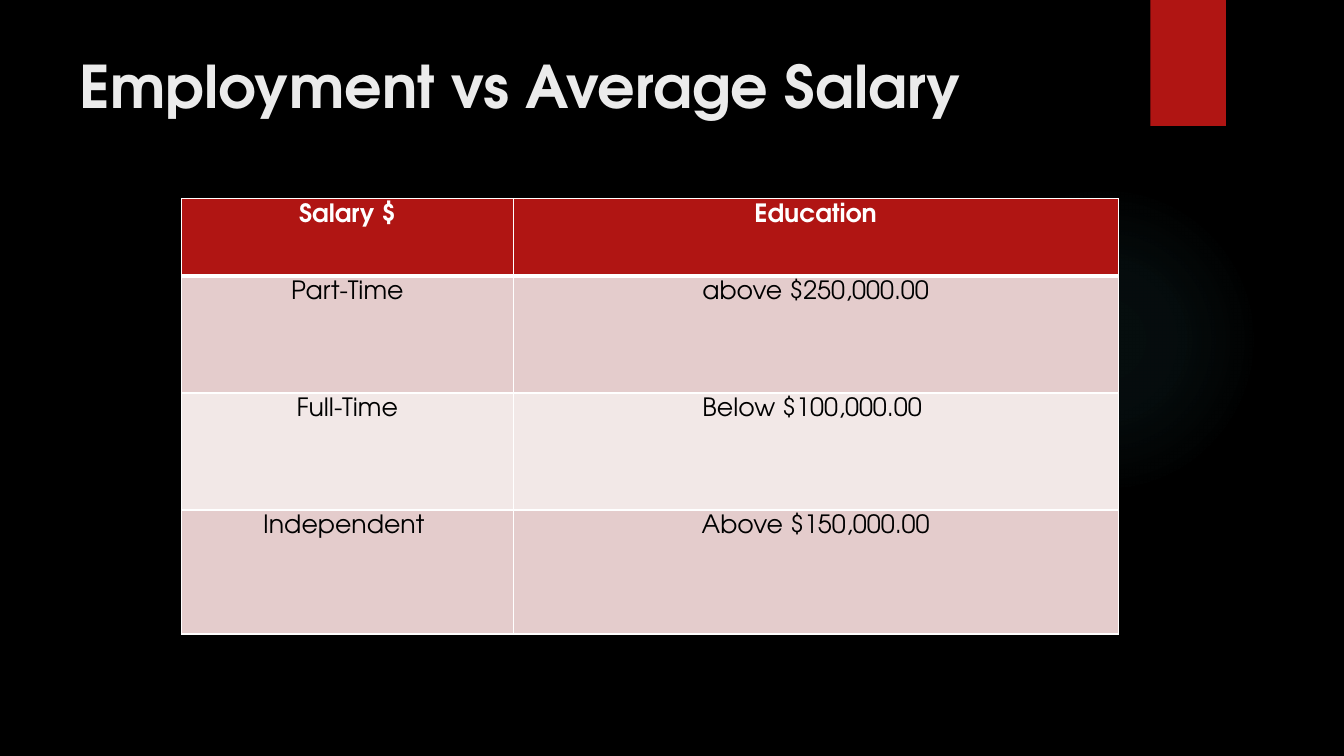
from lxml import etree
from pptx import Presentation
from pptx.dml.color import RGBColor
from pptx.enum.shapes import MSO_SHAPE
from pptx.enum.text import MSO_ANCHOR, PP_ALIGN
from pptx.oxml import parse_xml
from pptx.oxml.ns import qn
from pptx.util import Inches, Pt

RECTANGLE, OVAL = MSO_SHAPE.RECTANGLE, MSO_SHAPE.OVAL
TOP, CENTER = MSO_ANCHOR.TOP, PP_ALIGN.CENTER
FONT = "TeX Gyre Adventor"
DRAWING_NAMESPACE = "http://schemas.openxmlformats.org/drawingml/2006/main"
COLORS = {
    "background": "000000", "accent": "B01513", "glow": "50B9C1", "title": "EBEBEB",
    "border": "FFFFFF", "header_text": "FFFFFF", "body_text": "000000",
    "odd_row": "E4CCCC", "even_row": "F2E8E7",
}
GLOW_STOPS = [(0, 7), (36, 6), (69, 0)]
COLUMN_WIDTHS = [3.29, 6]
ROW_HEIGHTS = [0.77, 1.16, 1.16, 1.23]
CELL_MARGIN = 0.05
SALARY_ROWS = [
    ("Salary $", "Education"),
    ("Part-Time", "above $250,000.00"),
    ("Full-Time", "Below $100,000.00 "),
    ("Independent ", "Above $150,000.00"),
]


def color(name):
    """Return the named colour."""
    return RGBColor.from_string(COLORS[name])


def style_paragraph(paragraph, size, color_name, bold):
    """Set the font of a whole paragraph."""
    font = paragraph.font
    font.name, font.size, font.bold = FONT, Pt(size), bold
    font.color.rgb = color(color_name)


def add_plain_shape(slide, kind, box, color_name):
    """Add a filled shape without line or shadow."""
    shape = slide.shapes.add_shape(kind, *map(Inches, box))
    shape.shadow.inherit = False
    shape.fill.solid()
    shape.fill.fore_color.rgb = color(color_name)
    shape.line.fill.background()
    return shape


def add_glow(slide, box):
    """Add a faint circle that fades out from its centre."""
    shape = add_plain_shape(slide, OVAL, box, "glow")
    stops = "".join(
        f'<a:gs pos="{position * 1000}"><a:srgbClr val="{COLORS["glow"]}">'
        f'<a:alpha val="{opacity * 1000}"/></a:srgbClr></a:gs>'
        for position, opacity in GLOW_STOPS
    )
    gradient = parse_xml(
        f'<a:gradFill xmlns:a="{DRAWING_NAMESPACE}" rotWithShape="1"><a:gsLst>{stops}</a:gsLst>'
        '<a:path path="circle"><a:fillToRect l="50000" t="50000" r="50000" b="50000"/>'
        "</a:path></a:gradFill>"
    )
    properties = shape._element.spPr
    properties.replace(properties.find(qn("a:solidFill")), gradient)


def add_title(slide, box, text):
    """Add the slide title."""
    frame = slide.shapes.add_textbox(*map(Inches, box)).text_frame
    frame.word_wrap = True
    frame.vertical_anchor = TOP
    frame.text = text
    style_paragraph(frame.paragraphs[0], 42, "title", True)


def set_borders(cell, top_width, bottom_width):
    """Draw all four borders of a cell, one point wide at the sides."""
    properties = cell._tc.get_or_add_tcPr()
    widths = {"lnL": 1, "lnR": 1, "lnT": top_width, "lnB": bottom_width}
    for index, (side, width) in enumerate(widths.items()):
        line = etree.Element(qn(f"a:{side}"), w=str(Pt(width)))
        fill = etree.SubElement(line, qn("a:solidFill"))
        etree.SubElement(fill, qn("a:srgbClr"), val=COLORS["border"])
        properties.insert(index, line)


def fill_cell(cell, text, is_header, fill_name):
    """Write and format one table cell."""
    cell.text = text
    cell.margin_top = cell.margin_bottom = Inches(CELL_MARGIN)
    cell.vertical_anchor = TOP
    cell.fill.solid()
    cell.fill.fore_color.rgb = color(fill_name)
    paragraph = cell.text_frame.paragraphs[0]
    paragraph.alignment = CENTER
    style_paragraph(paragraph, 18, "header_text" if is_header else "body_text", is_header)


def add_salary_table(slide, left, top):
    """Add the table of employment types and salaries."""
    box = (left, top, sum(COLUMN_WIDTHS), sum(ROW_HEIGHTS))
    table = slide.shapes.add_table(
        len(ROW_HEIGHTS), len(COLUMN_WIDTHS), *map(Inches, box)
    ).table
    for column, width in zip(table.columns, COLUMN_WIDTHS):
        column.width = Inches(width)
    for index, (row, height) in enumerate(zip(table.rows, ROW_HEIGHTS)):
        row.height = Inches(height)
        is_header = index == 0
        fill_name = "accent" if is_header else "odd_row" if index % 2 else "even_row"
        for cell, text in zip(row.cells, SALARY_ROWS[index]):
            fill_cell(cell, text, is_header, fill_name)
            set_borders(cell, 3 if index == 1 else 1, 3 if is_header else 1)


def build_salary_slide(presentation):
    """Build the employment and salary slide."""
    slide = presentation.slides.add_slide(presentation.slide_layouts[6])
    slide.background.fill.solid()
    slide.background.fill.fore_color.rgb = color("background")
    add_glow(slide, (9.41, 1.83, 3.08, 3.08))
    add_plain_shape(slide, RECTANGLE, (11.41, 0, 0.75, 1.25), "accent")
    add_title(slide, (0.69, 0.44, 10.29, 1.53), "Employment vs Average Salary")
    add_salary_table(slide, 1.8, 1.97)


def main():
    """Create and save the presentation."""
    presentation = Presentation()
    presentation.slide_width = Inches(13.33)
    presentation.slide_height = Inches(7.5)
    build_salary_slide(presentation)
    presentation.save("out.pptx")


if __name__ == "__main__":
    main()
